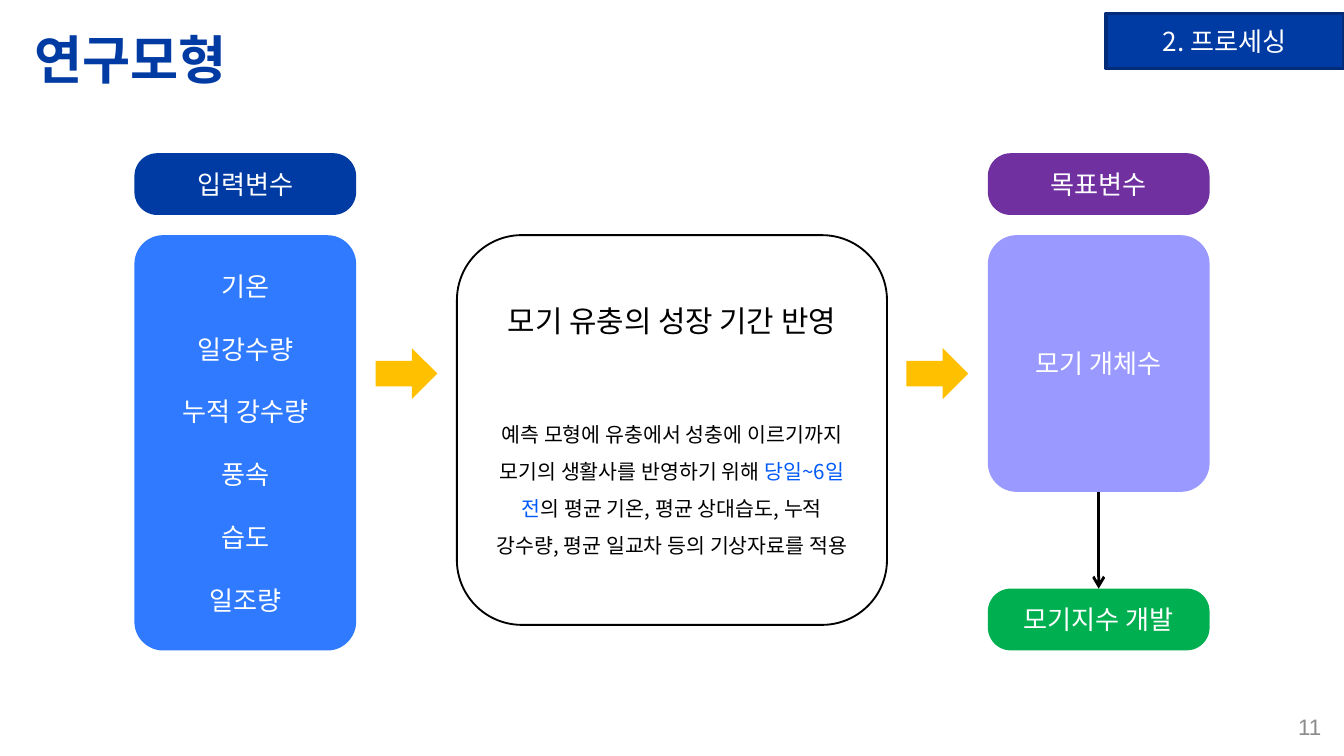
from lxml import etree
from pptx import Presentation
from pptx import util as u
from pptx.dml.color import RGBColor
from pptx.enum import shapes, text
from pptx.oxml.ns import qn

NAVY = RGBColor(0x00, 0x3B, 0xA3)
DARK_NAVY = RGBColor(0x00, 0x2C, 0x79)
BLUE = RGBColor(0x2F, 0x7A, 0xFF)
ACCENT = RGBColor(0x00, 0x5A, 0xF7)
PURPLE = RGBColor(0x70, 0x30, 0xA0)
LILAC = RGBColor(0x99, 0x99, 0xFF)
GREEN = RGBColor(0x00, 0xB0, 0x50)
AMBER = RGBColor(0xFF, 0xC0, 0x00)
GRAY = RGBColor(0x8C, 0x8C, 0x8C)
BLACK = RGBColor(0, 0, 0)
WHITE = RGBColor(255, 255, 255)
KOREAN = "Noto Sans CJK KR"

# Content
TITLE = "연구모형"
SECTION = "2. 프로세싱"
PAGE = "11"
INPUTS = ["기온", "일강수량", "누적 강수량", "풍속", "습도", "일조량"]
MODEL_HEADING = "모기 유충의 성장 기간 반영"
MODEL_BODY = [
    ("예측 모형에 유충에서 성충에 이르기까지 모기의 생활사를 반영하기 위해 ", BLACK),
    ("당일~6일 전", ACCENT),
    ("의 평균 기온, 평균 상대습도, 누적 강수량, 평균 일교차 등의 기상자료를 적용", BLACK),
]

# Layout in inches, on a 16:9 slide
WIDTH = 10
HEIGHT = WIDTH * 9 / 16
COLUMN, MARGIN = 1.65, 1
RIGHT = WIDTH - MARGIN - COLUMN
LABEL_TOP, LABEL_HEIGHT = 1.14, 0.46
BODY_TOP, BOTTOM = 1.75, 4.84
TARGET_HEIGHT = 1.91
MODEL_WIDTH, MODEL_HEIGHT, MODEL_INSET = 3.2, 2.9, 0.13
MODEL_LEFT = (WIDTH - MODEL_WIDTH) / 2
ARROW_WIDTH, ARROW_HEIGHT, ARROW_TOP = 0.46, 0.38, 2.59
LABEL_ROUND, BODY_ROUND = 0.37, 0.13

# Each box: left, top, width, height, rounding, fill, lines
BOXES = [
    (MARGIN, BODY_TOP, COLUMN, BOTTOM - BODY_TOP, BODY_ROUND, BLUE, INPUTS),
    (MARGIN, LABEL_TOP, COLUMN, LABEL_HEIGHT, LABEL_ROUND, NAVY, ["입력변수"]),
    (RIGHT, BODY_TOP, COLUMN, TARGET_HEIGHT, BODY_ROUND, LILAC, ["모기 개체수"]),
    (RIGHT, LABEL_TOP, COLUMN, LABEL_HEIGHT, LABEL_ROUND, PURPLE, ["목표변수"]),
    (RIGHT, BOTTOM - LABEL_HEIGHT, COLUMN, LABEL_HEIGHT, LABEL_ROUND, GREEN,
     ["모기지수 개발"]),
]

presentation = Presentation()
presentation.slide_width, presentation.slide_height = u.Inches(WIDTH), u.Inches(HEIGHT)
slide = presentation.slides.add_slide(presentation.slide_layouts[6])


def inches(*values):
    return [u.Inches(value) for value in values]


def add_box(kind, place, fill=None, line=None, line_width=1, rounding=None):
    shape = slide.shapes.add_shape(kind, *inches(*place))
    shape.shadow.inherit = False
    if rounding is not None:
        shape.adjustments[0] = rounding
    if fill is None:
        shape.fill.background()
    else:
        shape.fill.solid()
        shape.fill.fore_color.rgb = fill
    if line is None:
        shape.line.fill.background()
    else:
        shape.line.color.rgb = line
        shape.line.width = u.Pt(line_width)
    return shape


def set_insets(shape, inset, sides):
    for side in sides:
        setattr(shape.text_frame, "margin_" + side, u.Inches(inset))


def write(shape, paragraphs, anchor=text.MSO_ANCHOR.MIDDLE):
    """Each paragraph is (list of (text, colour), size, paragraph format, font format)."""
    frame = shape.text_frame
    frame.word_wrap = True
    frame.vertical_anchor = anchor
    for index, (runs, size, layout, style) in enumerate(paragraphs):
        paragraph = frame.add_paragraph() if index else frame.paragraphs[0]
        for name, value in {"alignment": text.PP_ALIGN.CENTER, **layout}.items():
            setattr(paragraph, name, value)
        for words, color in runs:
            run = paragraph.add_run()
            run.text = words
            font = {"name": KOREAN, "size": u.Pt(size), **style}
            for name, value in font.items():
                setattr(run.font, name, value)
            run.font.color.rgb = color
            east_asian = etree.SubElement(run.font._element, qn("a:ea"))
            east_asian.set("typeface", font["name"])


# Title and section tag
title = slide.shapes.add_textbox(*inches(0.16, 0.1, 8.44, 0.63))
set_insets(title, 0.1, ("left", "top", "right", "bottom"))
write(title, [([(TITLE, NAVY)], 28, {"alignment": text.PP_ALIGN.LEFT}, {"bold": True})],
      text.MSO_ANCHOR.TOP)
section = add_box(shapes.MSO_SHAPE.RECTANGLE, (8.23, 0.1, 1.77, 0.41), NAVY, DARK_NAVY, 2)
write(section, [([(SECTION, WHITE)], 14, {}, {})])

# Variable columns
for *place, rounding, fill, lines in BOXES:
    box = add_box(shapes.MSO_SHAPE.ROUNDED_RECTANGLE, place, fill, rounding=rounding)
    write(box, [([(line, WHITE)], 14, {"space_before": u.Pt(16.8)} if index else {}, {})
                for index, line in enumerate(lines)])

# Block arrows, centred in the gaps between the columns
for start, end in ((MARGIN + COLUMN, MODEL_LEFT), (MODEL_LEFT + MODEL_WIDTH, RIGHT)):
    left = (start + end - ARROW_WIDTH) / 2
    add_box(shapes.MSO_SHAPE.RIGHT_ARROW, (left, ARROW_TOP, ARROW_WIDTH, ARROW_HEIGHT), AMBER)

# Arrow from target to index
center = RIGHT + COLUMN / 2
connector = slide.shapes.add_connector(
    shapes.MSO_CONNECTOR.STRAIGHT,
    *inches(center, BODY_TOP + TARGET_HEIGHT, center, BOTTOM - LABEL_HEIGHT))
connector.line.color.rgb = BLACK
connector.line.width = u.Pt(1.5)
etree.SubElement(connector.line._get_or_add_ln(), qn("a:tailEnd")).set("type", "arrow")
etree.SubElement(connector._element.spPr, qn("a:effectLst"))

# Model description
model = add_box(shapes.MSO_SHAPE.ROUNDED_RECTANGLE,
                (MODEL_LEFT, BODY_TOP, MODEL_WIDTH, MODEL_HEIGHT), line=BLACK)
set_insets(model, MODEL_INSET, ("left", "right"))
write(model, [
    ([(MODEL_HEADING, BLACK)], 16, {}, {}),
    (MODEL_BODY, 11, {"line_spacing": 1.5, "space_before": u.Pt(37.8)}, {}),
])

# Page number
number = slide.shapes.add_textbox(*inches(7.68, 5.26, 2.25, 0.3))
write(number, [([(PAGE, GRAY)], 12, {"alignment": text.PP_ALIGN.RIGHT}, {"name": "Arial"})])

presentation.save("out.pptx")
